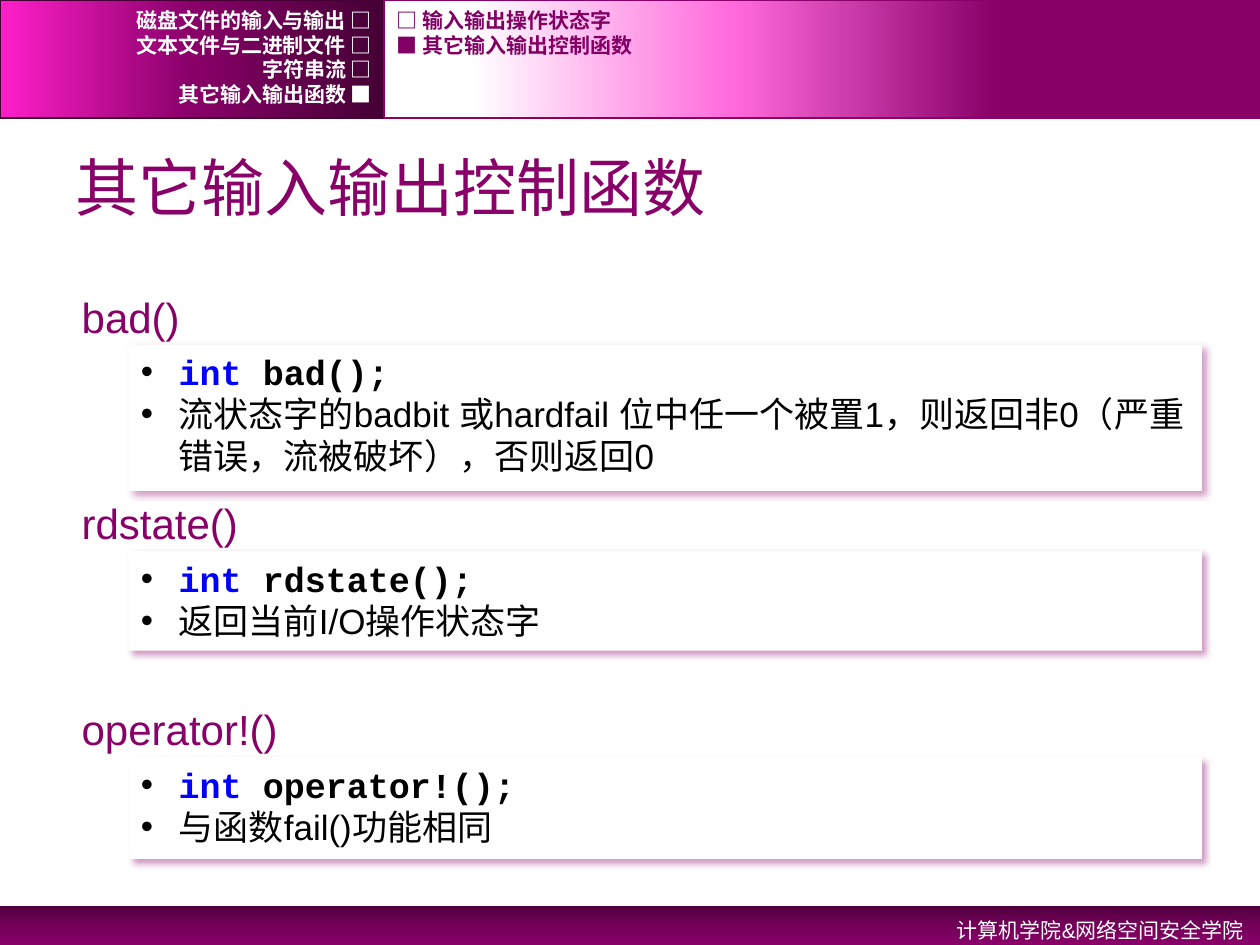
from lxml import etree
from pptx import Presentation
from pptx.dml.color import RGBColor
from pptx.enum.shapes import MSO_SHAPE
from pptx.enum.text import MSO_ANCHOR, MSO_AUTO_SIZE, PP_ALIGN
from pptx.oxml import parse_xml
from pptx.oxml.ns import nsdecls, qn
from pptx.util import Pt

PURPLE = RGBColor(0x88, 0x00, 0x68)
DEEP = RGBColor(0x44, 0x00, 0x34)
DARK = RGBColor(0x51, 0x00, 0x3E)
MID = RGBColor(0x73, 0x00, 0x58)
MAGENTA = RGBColor(0xFF, 0x1F, 0xCA)
PINK = RGBColor(0xFF, 0x69, 0xDC)
NAV = RGBColor(0x82, 0x00, 0x64)
WHITE = RGBColor(0xFF, 0xFF, 0xFF)
BLACK = RGBColor(0x00, 0x00, 0x00)
BLUE = RGBColor(0x00, 0x00, 0xFF)
SANS, MONO = "Arial", "Courier New"
WIDTH, HEIGHT = 720, 540

SECTIONS = ["磁盘文件的输入与输出 □", "文本文件与二进制文件 □", "字符串流 □", "其它输入输出函数 ■"]
TOPICS = ["□ 输入输出操作状态字", "■ 其它输入输出控制函数"]
FUNCTIONS = [
    ("bad()", 71.3, 83.5,
     "流状态字的badbit 或hardfail 位中任一个被置1，则返回非0（严重错误，流被破坏），否则返回0"),
    ("rdstate()", 105.1, 57, "返回当前I/O操作状态字"),
    ("operator!()", 127.4, 58.3, "与函数fail()功能相同"),
]


def add_run(paragraph, text, size, font, color, bold=False):
    run = paragraph.add_run()
    run.text = text
    run.font.size = Pt(size)
    run.font.name = font
    run.font.color.rgb = color
    run.font.bold = bold


def add_rect(slide, left, top, width, height):
    rect = slide.shapes.add_shape(
        MSO_SHAPE.RECTANGLE, Pt(left), Pt(top), Pt(width), Pt(height))
    rect.shadow.inherit = False
    rect.line.fill.background()
    return rect


def add_band(slide, box, stops, angle, line=None):
    band = add_rect(slide, *box)
    band.fill.gradient()
    grad = band.fill._xPr.find(qn("a:gradFill"))
    stop_list = grad.find(qn("a:gsLst"))
    for stop in list(stop_list):
        stop_list.remove(stop)
    for position, color in stops:
        stop = etree.SubElement(stop_list, qn("a:gs"), pos=str(position * 1000))
        etree.SubElement(stop, qn("a:srgbClr"), val=str(color))
    grad.find(qn("a:lin")).set("ang", str(angle * 60000))
    if line is not None:
        band.line.color.rgb = line
        band.line.width = Pt(1)


def add_text(slide, box, text, size, font, color, bold=False,
             align=PP_ALIGN.LEFT, anchor=MSO_ANCHOR.TOP, wrap=True):
    shape = slide.shapes.add_textbox(*map(Pt, box))
    frame = shape.text_frame
    frame.word_wrap = wrap
    frame.vertical_anchor = anchor
    paragraph = frame.paragraphs[0]
    paragraph.alignment = align
    add_run(paragraph, text, size, font, color, bold)
    return paragraph


def add_nav(slide, box, entries, text_width, stops, line, color, align):
    left, top, width, height = box
    add_band(slide, box, stops, 180, line)
    for row, entry in enumerate(entries):
        add_text(slide, (left, top + 4.3 + 14.1 * row, text_width, 14.4), entry, 12,
                 MONO, color, True, align, MSO_ANCHOR.MIDDLE)


def add_footer(slide, left, top, width, height):
    add_band(slide, (left, top, width, height), [(0, DARK), (50, MID), (100, PURPLE)], 90)
    paragraph = add_text(slide, (left + width - 257.8, top, 255.6, 23),
                         "计算机学院&网络空间安全学院", 12, SANS, WHITE, align=PP_ALIGN.RIGHT)
    paragraph.line_spacing = 1.2


def place_title(slide, left, top, width, height):
    title = slide.shapes.title
    title.left, title.top, title.width, title.height = map(Pt, (left, top, width, height))
    frame = title.text_frame
    frame.auto_size = MSO_AUTO_SIZE.NONE
    frame.vertical_anchor = MSO_ANCHOR.MIDDLE
    paragraph = frame.paragraphs[0]
    paragraph.alignment = PP_ALIGN.LEFT
    add_run(paragraph, "其它输入输出控制函数", 36, SANS, PURPLE)


def add_bullet(paragraph):
    paragraph.alignment = PP_ALIGN.LEFT
    props = paragraph._p.get_or_add_pPr()
    props.set("marL", str(Pt(21.6)))
    props.set("indent", str(-Pt(21.6)))
    color = etree.SubElement(props, qn("a:buClr"))
    etree.SubElement(color, qn("a:srgbClr"), val=str(BLACK))
    etree.SubElement(props, qn("a:buFont"), typeface=SANS)
    etree.SubElement(props, qn("a:buChar"), char="•")


def add_card_shadow(card):
    effects = card._element.spPr.find(qn("a:effectLst"))
    effects.append(parse_xml(
        f'<a:outerShdw {nsdecls("a")} blurRad="{Pt(4)}" dist="{Pt(3)}" dir="2700000" '
        f'algn="tl" rotWithShape="0"><a:srgbClr val="{PURPLE}">'
        '<a:alpha val="40000"/></a:srgbClr></a:outerShdw>'))


def add_function(slide, left, top, width, name, name_width, card_height, description):
    card = add_rect(slide, left + 33.8, top + 33.8, width - 33.8, card_height)
    card.fill.solid()
    card.fill.fore_color.rgb = WHITE
    add_card_shadow(card)
    frame = card.text_frame
    frame.word_wrap = True
    frame.vertical_anchor = MSO_ANCHOR.TOP
    signature = frame.paragraphs[0]
    add_bullet(signature)
    add_run(signature, "int", 20, MONO, BLUE, True)
    add_run(signature, f" {name};", 20, MONO, BLACK, True)
    meaning = frame.add_paragraph()
    add_bullet(meaning)
    add_run(meaning, description, 20, SANS, BLACK)
    add_text(slide, (left, top, name_width, 36), name, 24, SANS, PURPLE, wrap=False)


def build():
    deck = Presentation()
    deck.slide_width, deck.slide_height = Pt(WIDTH), Pt(HEIGHT)
    slide = deck.slides.add_slide(deck.slide_layouts[5])
    add_footer(slide, 0, 517.7, WIDTH, 22.3)
    add_nav(slide, (0, 0, 219.6, 67.7), SECTIONS, 219.6,
            [(0, DEEP), (50, PURPLE), (100, MAGENTA)], DEEP, WHITE, PP_ALIGN.RIGHT)
    add_nav(slide, (219.6, 0, 500.4, 67.7), TOPICS, 433.4,
            [(30, PURPLE), (60, PINK), (90, WHITE)], PURPLE, NAV, PP_ALIGN.LEFT)
    place_title(slide, 36, 78.5, 648, 56.2)
    for index, function in enumerate(FUNCTIONS):
        add_function(slide, 39.6, 163.2 + 117.75 * index, 647.2, *function)
    deck.save("out.pptx")


build()
